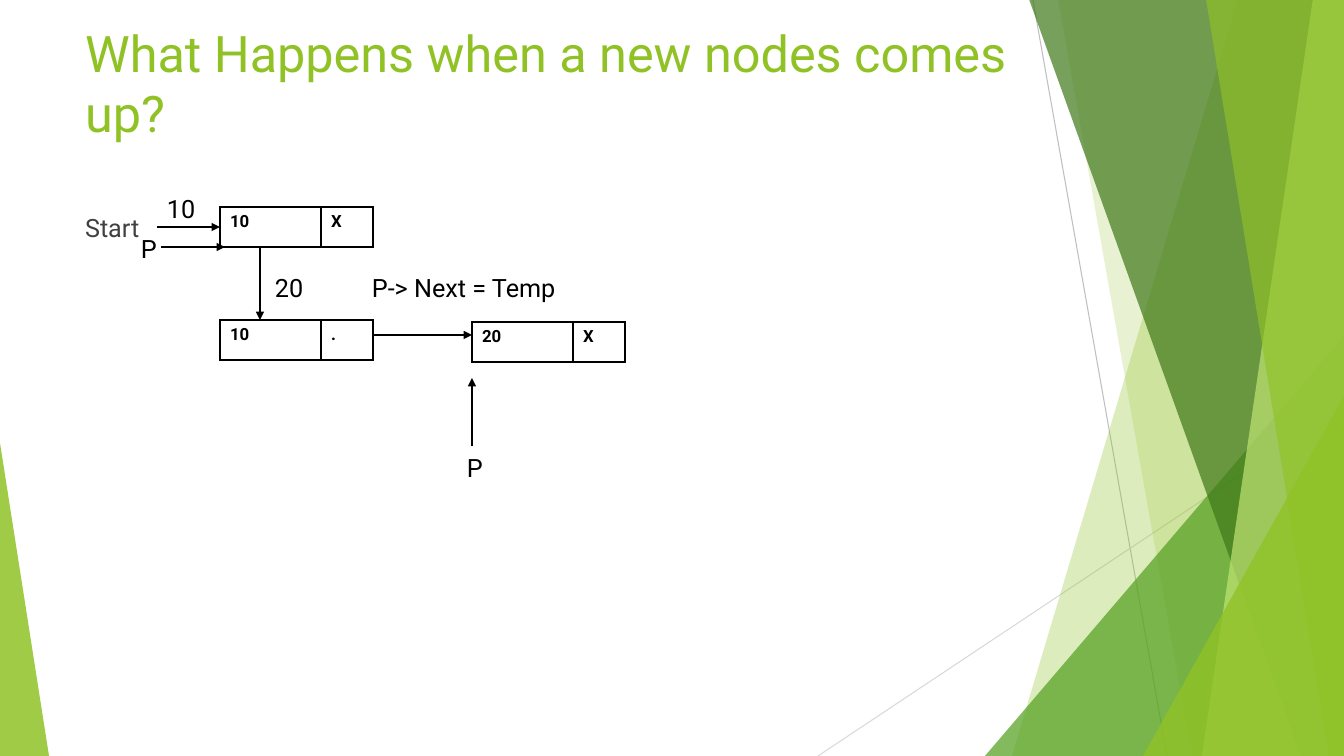
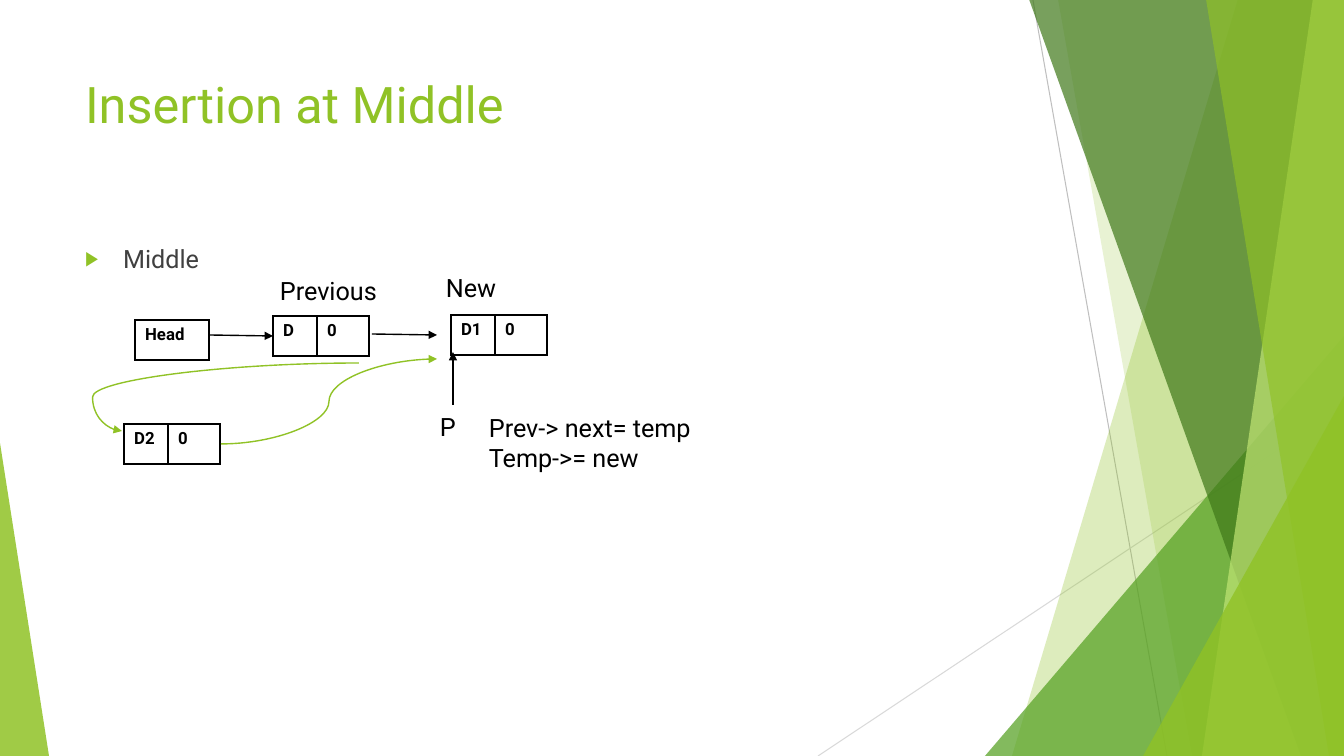
from dataclasses import dataclass

from lxml import etree
from pptx import Presentation
from pptx.dml.color import RGBColor
from pptx.enum.shapes import MSO_CONNECTOR, MSO_SHAPE
from pptx.enum.text import MSO_ANCHOR, MSO_AUTO_SIZE, PP_ALIGN
from pptx.oxml.ns import qn
from pptx.util import Pt

STRAIGHT, CURVE = MSO_CONNECTOR.STRAIGHT, MSO_CONNECTOR.CURVE
TRIANGLE = MSO_SHAPE.ISOSCELES_TRIANGLE
LEFT, TOP = PP_ALIGN.LEFT, MSO_ANCHOR.TOP
FIXED, GROW = MSO_AUTO_SIZE.NONE, MSO_AUTO_SIZE.SHAPE_TO_FIT_TEXT


@dataclass(frozen=True)
class Theme:
    font: str = "Roboto"
    lime: str = "90C226"
    leaf: str = "54A021"
    moss: str = "3F7819"
    pale: str = "C0E474"
    gray: str = "BFBFBF"
    mist: str = "D9D9D9"
    body: str = "404040"
    ink: str = "000000"
    head: int = 36
    text: int = 18
    cell: int = 12
    rule: float = 1
    hair: float = 0.75


T = Theme()
WIDE, HIGH = 1344, 756
MARGIN, COLUMN = 75, 948  # left edge and width of title and body
ROW, GAP = 40, 38  # node height, bullet indent

# Backdrop: hairlines, then bands (top x, bottom x) and wedges (box, apex)
HAIRS = [((1033, 0), (1167, HIGH), T.gray), ((WIDE, 406), (818, HIGH), T.mist)]
PANELS = [
    ("band", (1238, 1012), T.lime, 30),
    ("band", (1058, 1192), T.lime, 20),
    ("wedge", (985, 336, 359, 420, 1), T.leaf, 72),
    ("band", (1029, 1301), T.moss, 70),
    ("band", (1313, 1202), T.pale, 70),
    ("band", (1206, 1329), T.lime, 65),
    ("wedge", (1143, 396, 201, 360, 1), T.lime, 80),
    ("wedge", (0, 443, 49, 313, 0), T.lime, 85),
]

# Column widths of the nodes
LONG, SHORT, SOLO = (101, 52), (44, 52), (74,)

# nodes: name, x, y, columns, cells; labels: x, y, width, lines
# arrows: from, to, node whose left side is joined; curves: from, to, bend
SLIDES = [
    {
        "title": ("What Happens when a new nodes comes up?", 17),
        "body": ("Start", 207, False),
        "nodes": [
            ("first", 220, 207, LONG, ("10", "X")),
            ("old", 220, 320, LONG, ("10", ".")),
            ("new", 472, 322, LONG, ("20", "X")),
        ],
        "arrows": [
            ((157, 227), (220, 227), "first"),
            ((161, 247), (225, 247), None),
            ((260, 247), (260, 320), None),
            ((373, 335), (472, 335), None),
            ((472, 446), (472, 378), None),
        ],
        "curves": [],
        "labels": [
            (157, 188, 64, ["10"]),
            (131, 228, 31, ["P"]),
            (265, 267, 64, ["20"]),
            (362, 267, 234, ["P-> Next = Temp"]),
            (457, 447, 31, ["P"]),
        ],
    },
    {
        "title": ("Insertion at Middle", 68),
        "body": ("Middle", 238, True),
        "nodes": [
            ("prev", 273, 316, SHORT, ("D", "0")),
            ("new", 451, 315, SHORT, ("D1", "0")),
            ("temp", 124, 424, SHORT, ("D2", "0")),
            ("head", 135, 320, SOLO, ("Head",)),
        ],
        "arrows": [
            ((209, 335), (273, 336), "prev"),
            ((372, 334), (437, 335), None),
            ((453, 405), (453, 352), None),
        ],
        "curves": [((359, 363), (122, 431), 112400), ((221, 444), (437, 359), 50000)],
        "labels": [
            (479, 407, 362, ["Prev-> next= temp", "Temp->= new"]),
            (430, 406, 64, ["P"]),
            (270, 270, 137, ["Previous"]),
            (436, 267, 137, ["New"]),
        ],
    },
]


def px(n):
    return round(n * 914400 / 100.8)


def box(*nums):
    return [px(n) for n in nums]


def write(para, text, size, color, bold=False):
    run = para.add_run()
    run.text = text
    font = run.font
    font.name, font.size, font.bold = T.font, Pt(size), bold
    font.color.rgb = RGBColor.from_string(color)


def stroke(shapes, start, end, color, width, kind=STRAIGHT):
    line = shapes.add_connector(kind, *box(*start, *end))
    line.line.color.rgb = RGBColor.from_string(color)
    line.line.width = Pt(width)
    etree.SubElement(line.element.spPr, qn("a:effectLst"))
    return line


def arrow(shapes, start, end, color, kind=STRAIGHT):
    line = stroke(shapes, start, end, color, T.rule, kind)
    edge = line.element.spPr.find(qn("a:ln"))
    etree.SubElement(edge, qn("a:tailEnd"), type="triangle")
    return line


def curve(shapes, start, end, bend):
    line = arrow(shapes, start, end, T.lime, CURVE)
    geom = line.element.spPr.find(qn("a:prstGeom"))
    guides = geom.find(qn("a:avLst"))
    if guides is None:
        guides = etree.SubElement(geom, qn("a:avLst"))
    etree.SubElement(guides, qn("a:gd"), name="adj1", fmla=f"val {bend}")


def panel(shapes, kind, data, color, alpha):
    if kind == "band":
        top, low = data
        pen = shapes.build_freeform(px(top), px(-1), 1.0)
        rest = [(WIDE, -1), (WIDE, HIGH), (low, HIGH)]
        pen.add_line_segments([box(*spot) for spot in rest], close=True)
        shape = pen.convert_to_shape()
    else:
        shape = shapes.add_shape(TRIANGLE, *box(*data[:4]))
        shape.adjustments[0] = data[4]
    shape.shadow.inherit = False
    shape.line.fill.background()
    shape.fill.solid()
    shape.fill.fore_color.rgb = RGBColor.from_string(color)
    tint = shape.element.spPr.find(qn("a:solidFill")).find(qn("a:srgbClr"))
    etree.SubElement(tint, qn("a:alpha"), val=str(alpha * 1000))


def backdrop(slide, master):
    """Draw the shared backdrop as a group and move it to the master."""
    group = slide.shapes.add_group_shape()
    for start, end, color in HAIRS:
        stroke(group.shapes, start, end, color, T.hair)
    for item in PANELS:
        panel(group.shapes, *item)
    for num, tag in enumerate(group.element.iter(qn("p:cNvPr")), 100):
        tag.set("id", str(num))
    master.shapes.element.insert(2, group.element)


def place(holder, top, height):
    holder.left, holder.top, holder.width, holder.height = box(
        MARGIN, top, COLUMN, height)
    frame = holder.text_frame
    frame.word_wrap, frame.auto_size = True, FIXED
    frame.vertical_anchor = TOP
    para = frame.paragraphs[0]
    para.alignment = LEFT
    return para


def bullet(para, show):
    para.space_before = Pt(10)
    props = para._p.get_or_add_pPr()
    gap = px(GAP) if show else 0
    props.set("marL", str(gap))
    props.set("indent", str(-gap))
    if not show:
        etree.SubElement(props, qn("a:buNone"))
        return
    tint = etree.SubElement(props, qn("a:buClr"))
    etree.SubElement(tint, qn("a:srgbClr"), val=T.lime)
    etree.SubElement(props, qn("a:buSzPct"), val="80000")
    etree.SubElement(props, qn("a:buChar"), char="▶")


def border(cell):
    props = cell._tc.get_or_add_tcPr()
    for num, side in enumerate(("lnL", "lnR", "lnT", "lnB")):
        edge = etree.Element(qn(f"a:{side}"), w=str(Pt(T.rule)))
        fill = etree.SubElement(edge, qn("a:solidFill"))
        etree.SubElement(fill, qn("a:srgbClr"), val=T.ink)
        props.insert(num, edge)


def node(shapes, x, y, cols, cells):
    frame = shapes.add_table(1, len(cols), *box(x, y, sum(cols), ROW))
    table = frame.table
    table.first_row = table.horz_banding = False
    table.rows[0].height = px(ROW)
    for num, (width, text) in enumerate(zip(cols, cells)):
        table.columns[num].width = px(width)
        cell = table.cell(0, num)
        cell.fill.background()
        border(cell)
        write(cell.text_frame.paragraphs[0], text, T.cell, T.ink, True)
    return frame


def label(shapes, x, y, width, lines):
    height = ROW + 31 * (len(lines) - 1)
    frame = shapes.add_textbox(*box(x, y, width, height)).text_frame
    frame.word_wrap, frame.auto_size = True, GROW
    for num, text in enumerate(lines):
        para = frame.add_paragraph() if num else frame.paragraphs[0]
        write(para, text, T.text, T.ink)


def build(slide, data):
    shapes = slide.shapes
    # Title and body
    text, top = data["title"]
    write(place(shapes.title, top, 145), text, T.head, T.lime)
    text, top, dot = data["body"]
    para = place(slide.placeholders[1], top, 666 - top)
    bullet(para, dot)
    write(para, text, T.text, T.body)
    # Linked list
    nodes = {name: node(shapes, *rest) for name, *rest in data["nodes"]}
    for start, end, goal in data["arrows"]:
        line = arrow(shapes, start, end, T.ink)
        if goal:
            line.end_connect(nodes[goal], 1)
    for item in data["curves"]:
        curve(shapes, *item)
    for item in data["labels"]:
        label(shapes, *item)


def main():
    deck = Presentation()
    deck.slide_width, deck.slide_height = box(WIDE, HIGH)
    for num, data in enumerate(SLIDES):
        slide = deck.slides.add_slide(deck.slide_layouts[1])
        if num == 0:
            backdrop(slide, deck.slide_master)
        build(slide, data)
    deck.save("out.pptx")


if __name__ == "__main__":
    main()
